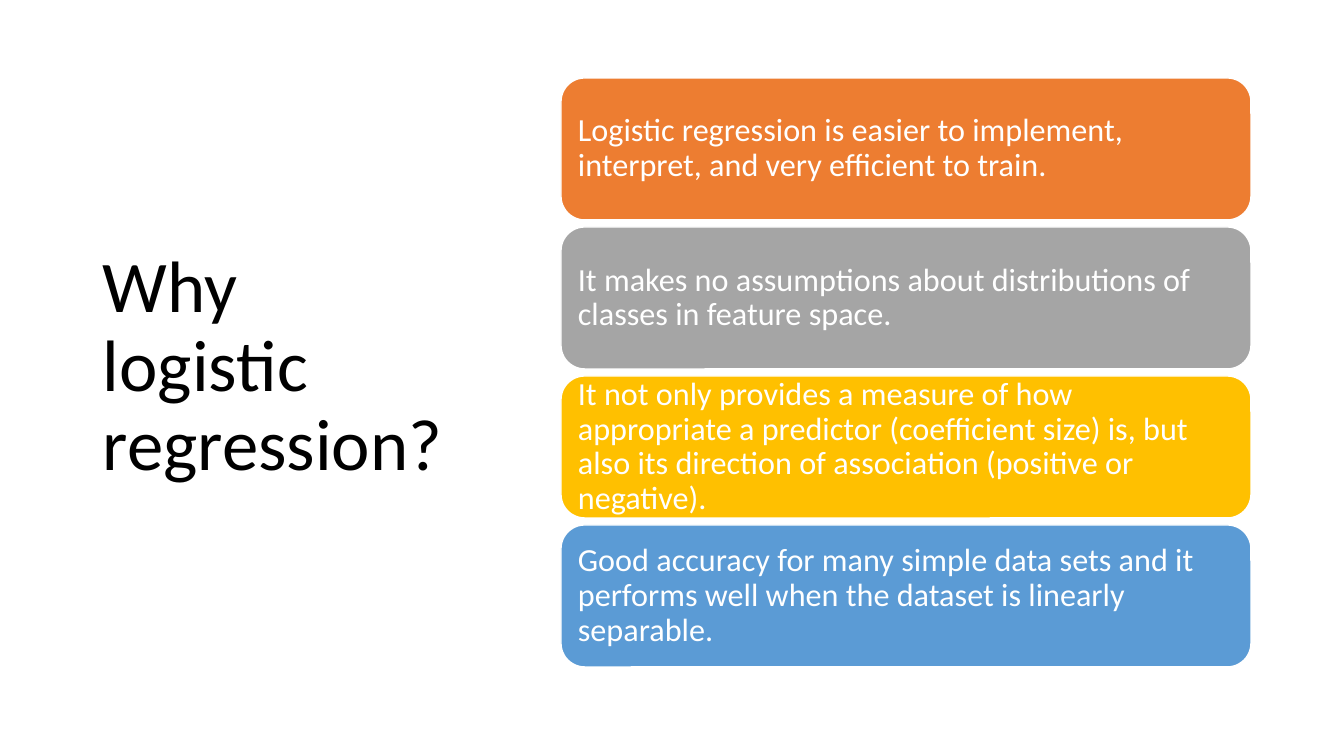
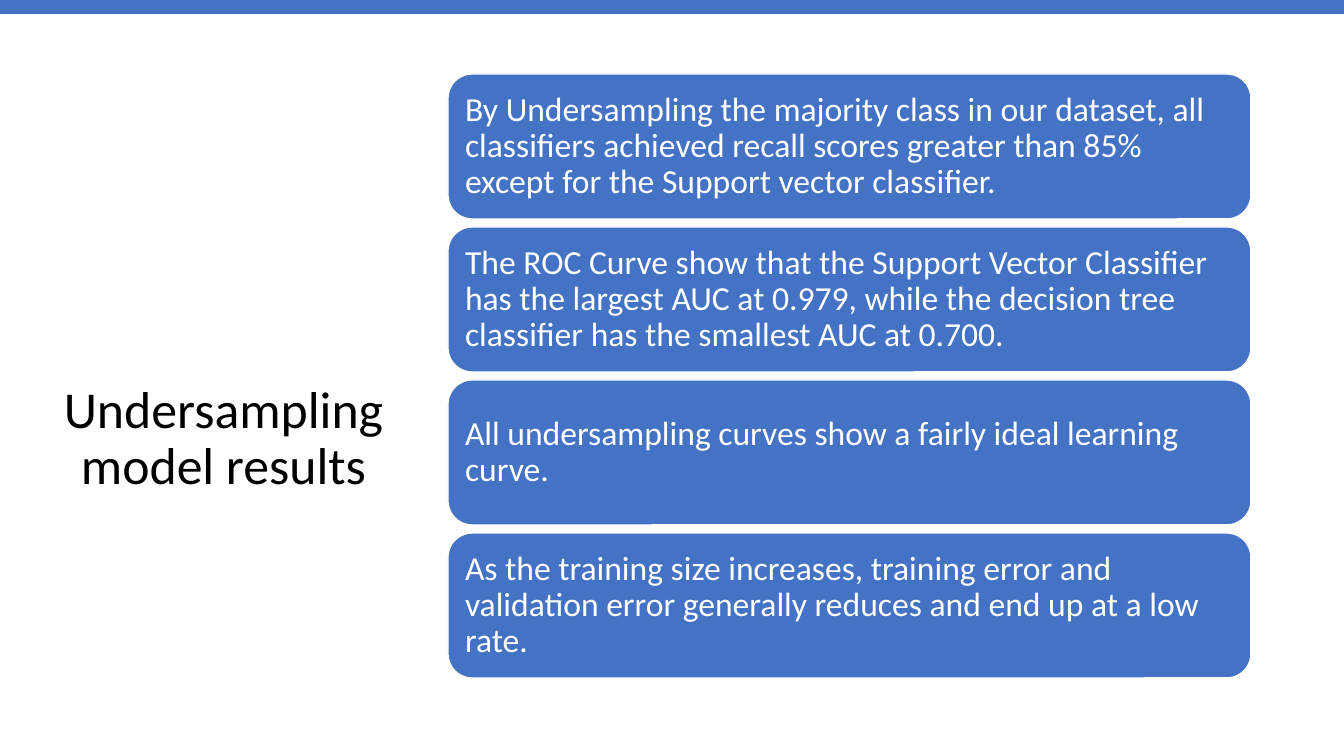
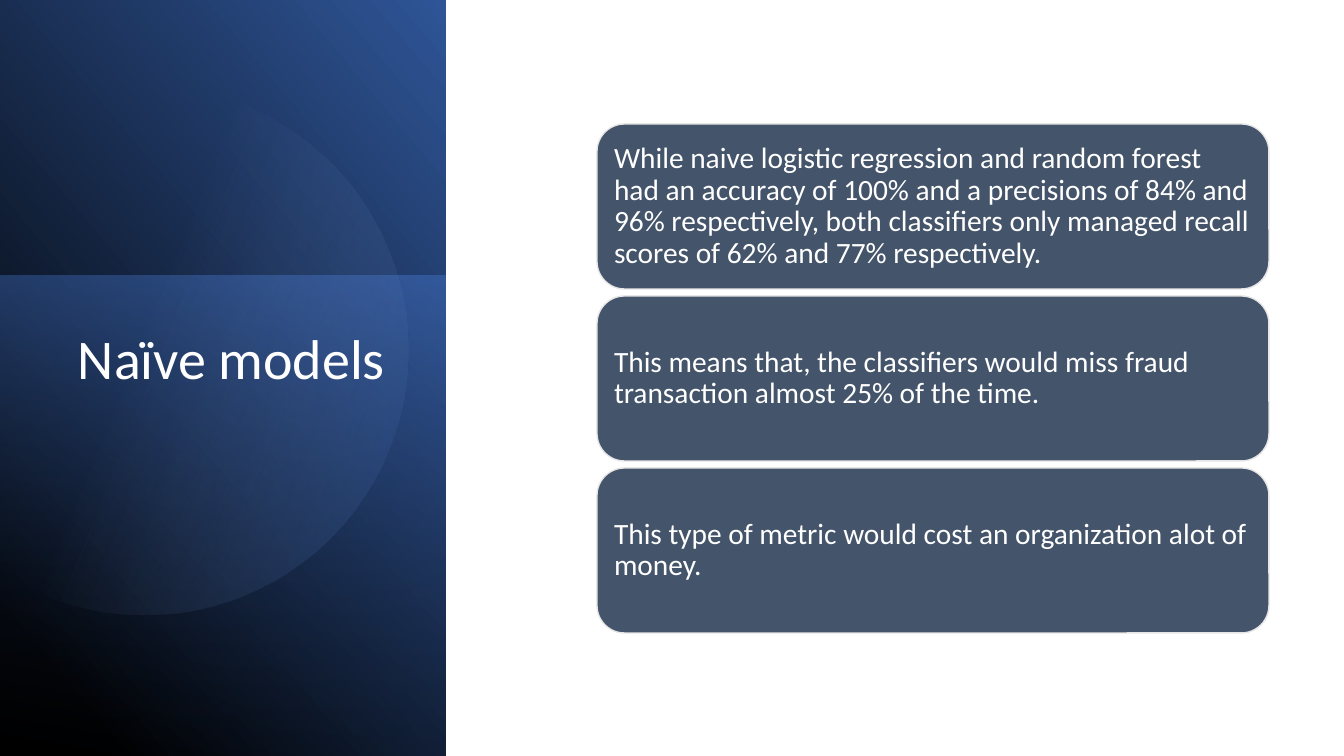
from math import acos, cos, pi, sin

from lxml import etree
from pptx import Presentation
from pptx.dml.color import RGBColor
from pptx.enum.shapes import MSO_SHAPE as SHAPE
from pptx.enum.text import MSO_ANCHOR as ANCHOR, PP_ALIGN as ALIGN
from pptx.oxml.ns import qn
from pptx.util import Pt

EMU_PER_PX = 914400 / 100.8
SLIDE_WIDTH, SLIDE_HEIGHT = 1344, 756
FONT = "Calibri"
WHITE, BLACK, BLUE = "FFFFFF", "000000", "4472C4"
ORANGE, GRAY, GOLD, SKY = "ED7D31", "A5A5A5", "FFC000", "5B9BD5"
SLATE, SILVER = "44546A", "E7E6E6"
NAVY, ROYAL, PALE_BLUE = "203864", "2F5597", "8FAADC"
PANEL_WIDTH = 446

REASONS = [
    "Logistic regression is easier to implement, interpret, and very efficient to train.",
    "It makes no assumptions about distributions of classes in feature space.",
    "It not only provides a measure of how appropriate a predictor (coefficient size) is, "
    "but also its direction of association (positive or negative).",
    "Good accuracy for many simple data sets and it performs well when the dataset is "
    "linearly separable.",
]
UNDERSAMPLING_RESULTS = [
    "By Undersampling the majority class in our dataset, all classifiers achieved recall "
    "scores greater than 85% except for the Support vector classifier.",
    "The ROC Curve show that the Support Vector Classifier has the largest AUC at 0.979, "
    "while the decision tree classifier has the smallest AUC at 0.700.",
    "All undersampling curves show a fairly ideal learning curve.",
    "As the training size increases, training error and validation error generally reduces "
    "and end up at a low rate.",
]
NAIVE_RESULTS = [
    "While naive logistic regression and random forest had an accuracy of 100% and a "
    "precisions of 84% and 96% respectively, both classifiers only managed recall scores "
    "of 62% and 77% respectively.",
    "This means that, the classifiers would miss fraud transaction almost 25% of the time.",
    "This type of metric would cost an organization alot of money.",
]


def px(length):
    return round(length * EMU_PER_PX)


def rgb(color):
    return RGBColor.from_string(color)


def set_attributes(target, values):
    for name, value in values.items():
        setattr(target, name, value)


def write_text(shape, text, size, color, align=ALIGN.LEFT, anchor=ANCHOR.MIDDLE, insets=(10, 5)):
    """Fill a shape with one paragraph; insets are (horizontal, vertical)."""
    across, down = map(px, insets)
    frame = shape.text_frame
    set_attributes(frame, {
        "word_wrap": True, "vertical_anchor": anchor,
        "margin_left": across, "margin_right": across,
        "margin_top": down, "margin_bottom": down,
    })
    paragraph = frame.paragraphs[0]
    set_attributes(paragraph, {"text": text, "alignment": align, "line_spacing": 0.9})
    set_attributes(paragraph.font, {"name": FONT, "size": Pt(size)})
    paragraph.font.color.rgb = rgb(color)


def add_title(slide, text, box, size, color=BLACK, **layout):
    write_text(slide.shapes.add_textbox(*map(px, box)), text, size, color, **layout)


def add_plain_shape(slide, kind, box):
    shape = slide.shapes.add_shape(kind, *map(px, box))
    shape.shadow.inherit = False
    shape.line.fill.background()
    return shape


def add_bar(slide, box, color):
    bar = add_plain_shape(slide, SHAPE.RECTANGLE, box)
    bar.fill.solid()
    bar.fill.fore_color.rgb = rgb(color)


def add_cards(slide, texts, first_box, gap, size, colors, outline=WHITE, inset=10):
    """Stack equal cards downwards from first_box, one color each."""
    left, top, width, height = first_box
    for row, (text, color) in enumerate(zip(texts, colors)):
        box = (left, top + row * (height + gap), width, height)
        card = add_plain_shape(slide, SHAPE.ROUNDED_RECTANGLE, box)
        card.fill.solid()
        card.fill.fore_color.rgb = rgb(color)
        card.line.color.rgb = rgb(outline)
        card.line.width = Pt(1)
        write_text(card, text, size, WHITE, insets=(inset, inset))


def fill_gradient(shape, stops, angle):
    """Stops are (position, color, opacity percent); angle is counter-clockwise."""
    shape.fill.gradient()
    shape.fill.gradient_angle = angle
    for stop, (position, color, _) in zip(shape.fill.gradient_stops, stops):
        stop.position = position
        stop.color.rgb = rgb(color)
    colors = shape.element.spPr.iter(qn("a:srgbClr"))
    for element, (_, _, opacity) in zip(colors, stops):
        if opacity < 100:
            etree.SubElement(element, qn("a:alpha")).set("val", str(opacity * 1000))


def add_gradient_panel(slide, box, stops, angle):
    fill_gradient(add_plain_shape(slide, SHAPE.RECTANGLE, box), stops, angle)


def add_cut_circle(slide, center, radius, stops, angle, steps=120):
    """Draw a circle cut off by the left edge of the slide."""
    center_x, center_y = center
    reach = acos(-center_x / radius)
    turns = [reach * (2 * step / steps - 1) for step in range(steps + 1)]
    points = [(px(center_x + radius * cos(turn)), px(center_y + radius * sin(turn)))
              for turn in turns]
    builder = slide.shapes.build_freeform(*points[0])
    builder.add_line_segments(points[1:], close=True)
    circle = builder.convert_to_shape()
    circle.shadow.inherit = False
    circle.line.fill.background()
    fill_gradient(circle, stops, angle)


def build_reasons(slide):
    add_title(slide, "Why logistic regression?", (93, 61, 372, 614), 52)
    add_cards(slide, REASONS, (561, 78, 690, 142), 7, 23, [ORANGE, GRAY, GOLD, SKY])


def build_undersampling(slide):
    add_title(slide, "Undersampling model results", (47, 379, 353, 302), 37,
              align=ALIGN.CENTER, anchor=ANCHOR.TOP)
    add_bar(slide, (0, 0, SLIDE_WIDTH, 14), BLUE)
    add_cards(slide, UNDERSAMPLING_RESULTS, (448, 74, 803, 145), 8, 24,
              [BLUE] * len(UNDERSAMPLING_RESULTS))


def build_naive_models(slide):
    add_gradient_panel(slide, (0, 0, PANEL_WIDTH, SLIDE_HEIGHT),
                       [(0.11, BLACK, 100), (1, ROYAL, 100)], 40)
    add_gradient_panel(slide, (0, 276, PANEL_WIDTH, SLIDE_HEIGHT - 276),
                       [(0, BLUE, 50), (1, NAVY, 0)], 260)
    add_cut_circle(slide, (144, 350), 264, [(0.39, PALE_BLUE, 0), (1, ROYAL, 26)], 338)
    add_title(slide, "Naïve models", (58, 326, 337, 389), 40, WHITE,
              align=ALIGN.RIGHT, anchor=ANCHOR.TOP)
    add_cards(slide, NAIVE_RESULTS, (597, 124, 672, 165), 7, 21,
              [SLATE] * len(NAIVE_RESULTS), SILVER, inset=9)


def main():
    presentation = Presentation()
    presentation.slide_width = px(SLIDE_WIDTH)
    presentation.slide_height = px(SLIDE_HEIGHT)
    blank = presentation.slide_layouts[6]
    for build in (build_reasons, build_undersampling, build_naive_models):
        build(presentation.slides.add_slide(blank))
    presentation.save("out.pptx")


if __name__ == "__main__":
    main()
